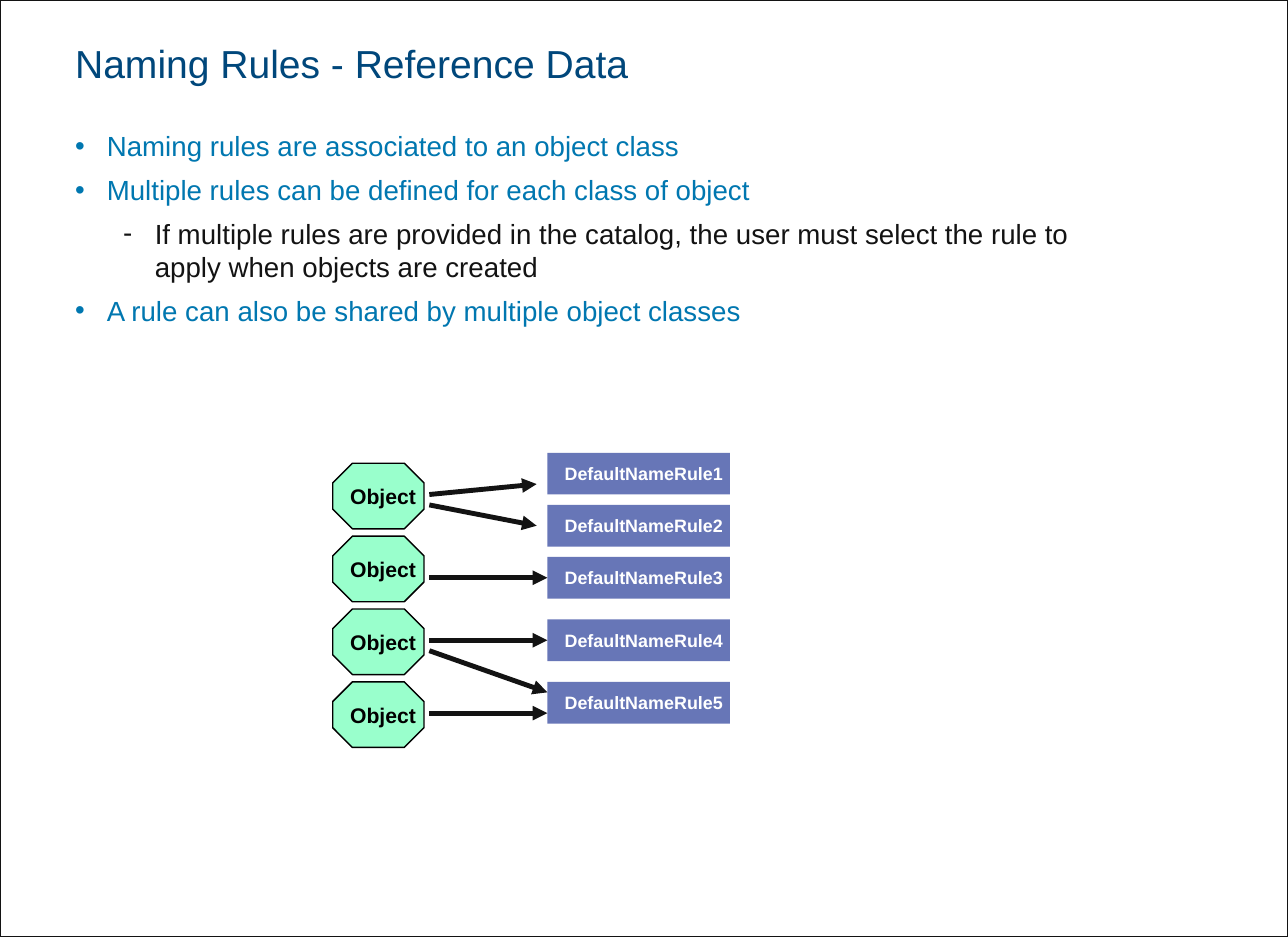
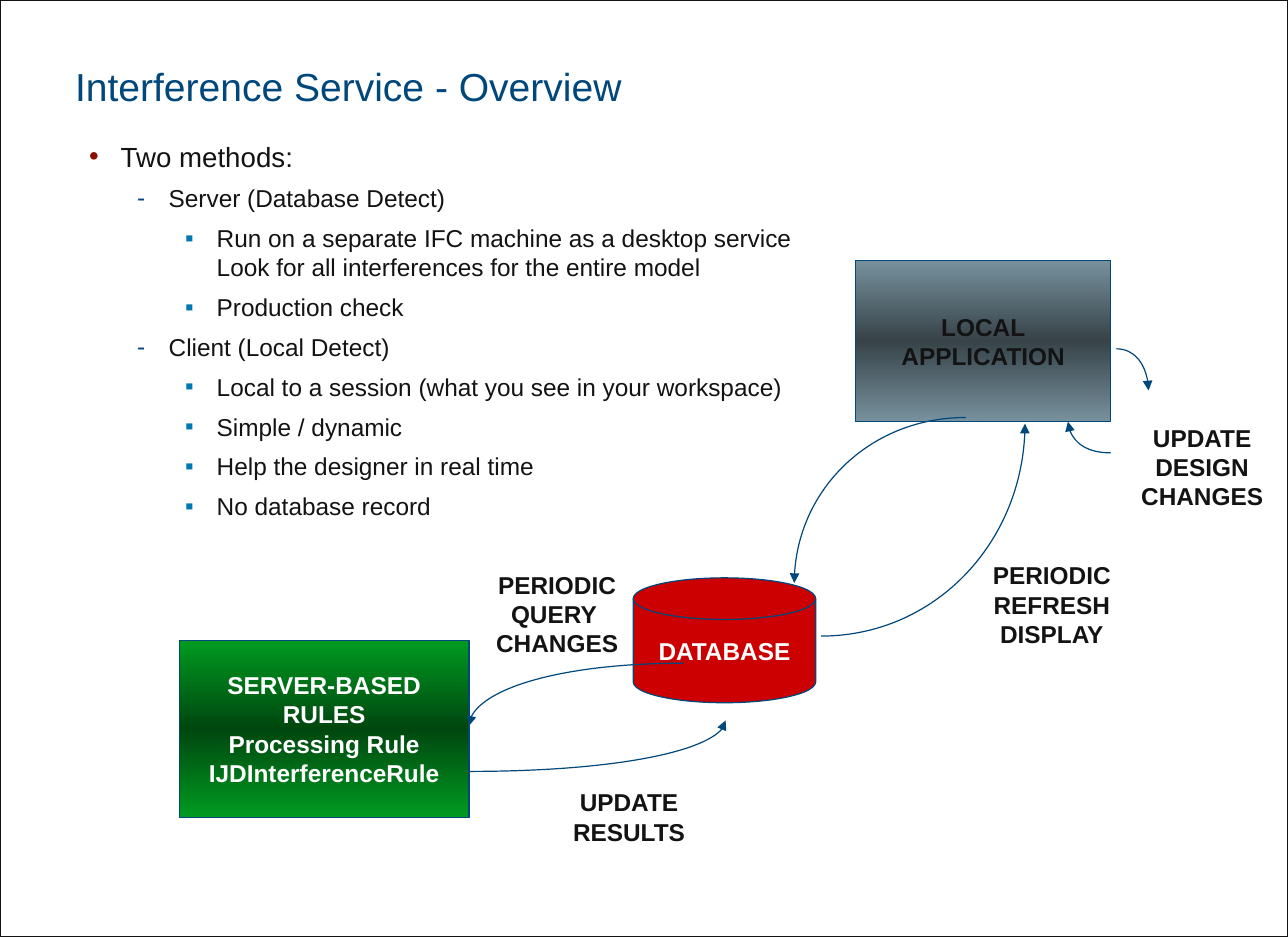
from dataclasses import dataclass

from lxml.etree import SubElement
from pptx import Presentation
from pptx.dml.color import RGBColor
from pptx.enum.shapes import MSO_CONNECTOR, MSO_SHAPE
from pptx.enum.text import MSO_ANCHOR, PP_ALIGN
from pptx.oxml.ns import qn
from pptx.util import Inches, Pt

WIDTH, HEIGHT = Inches(11), Inches(8)
COLUMN, ROW = WIDTH / 120, HEIGHT / 90
CENTRE, MIDDLE = PP_ALIGN.CENTER, MSO_ANCHOR.MIDDLE


@dataclass(frozen=True)
class Theme:
    """Colours, font and type sizes shared by the slides."""

    font: str = "Arial"
    navy: str = "00477B"
    blue: str = "0077B0"
    steel: str = "07467F"
    maroon: str = "8B0F04"
    ink: str = "131313"
    black: str = "000000"
    white: str = "FFFFFF"
    mint: str = "99FFCC"
    violet: str = "6776B7"
    red: str = "CC0000"
    green: tuple = ("009A21", "00470F", "009A21")
    slate: tuple = ("77919D", "374349", "77919D")
    title: int = 24
    body: int = 17
    detail: int = 15
    object: int = 13
    rule: int = 11


THEME = Theme()


@dataclass(frozen=True)
class Level:
    """Look of one outline level."""

    bullet: str
    bullet_color: str
    color: str
    size: int
    depth: int


def rgb(color):
    """Turn a hex string into a colour."""
    return RGBColor.from_string(color)


def grid(column, row, columns, rows):
    """Convert a grid area to left, top, width and height."""
    return round(column * COLUMN), round(row * ROW), round(columns * COLUMN), round(rows * ROW)


def format_runs(paragraph, size, color, bold=False):
    """Apply one font to all runs of a paragraph."""
    for run in paragraph.runs:
        run.font.name = THEME.font
        run.font.size = Pt(size)
        run.font.bold = bold
        run.font.color.rgb = rgb(color)


def write(shape, text, size, color, bold=True, align=CENTRE, anchor=MIDDLE, wrap=False, left=0):
    """Fill a shape with text, one paragraph a line."""
    frame = shape.text_frame
    frame.margin_left = Inches(left)
    frame.margin_right = frame.margin_top = frame.margin_bottom = 0
    frame.text = text
    frame.word_wrap = wrap
    frame.vertical_anchor = anchor
    for paragraph in frame.paragraphs:
        paragraph.alignment = align
        format_runs(paragraph, size, color, bold)


def add_box(slide, kind, area, fill, line=None, weight=0.75):
    """Draw a preset shape with a flat or three-stop fill."""
    shape = slide.shapes.add_shape(kind, *grid(*area))
    shape.shadow.inherit = False
    if isinstance(fill, tuple):
        fill_gradient(shape, fill)
    else:
        shape.fill.solid()
        shape.fill.fore_color.rgb = rgb(fill)
    if line:
        shape.line.color.rgb = rgb(line)
        shape.line.width = Pt(weight)
    else:
        shape.line.fill.background()
    return shape


def fill_gradient(shape, colors):
    """Spread the colours evenly from top to bottom."""
    shape.fill.gradient()
    shape.fill.gradient_angle = 90
    stops = shape._element.spPr.find(qn("a:gradFill")).find(qn("a:gsLst"))
    for stop in list(stops):
        stops.remove(stop)
    for index, color in enumerate(colors):
        stop = SubElement(stops, qn("a:gs"), pos=str(index * 100000 // (len(colors) - 1)))
        SubElement(stop, qn("a:srgbClr"), val=color)


def style_arrow(shape, color, weight):
    """Set the line of an arrow and its triangular head."""
    shape.line.color.rgb = rgb(color)
    shape.line.width = Pt(weight)
    SubElement(shape.line._get_or_add_ln(), qn("a:tailEnd"), type="triangle")


def add_arrow(slide, start, end):
    """Draw a thick straight arrow between two grid points."""
    left, top, width, height = grid(*start, end[0] - start[0], end[1] - start[1])
    arrow = slide.shapes.add_connector(
        MSO_CONNECTOR.STRAIGHT, left, top, left + width, top + height)
    style_arrow(arrow, THEME.ink, 3)
    SubElement(arrow._element.spPr, qn("a:effectLst"))


def add_curve(slide, start, end):
    """Draw a quarter ellipse that leaves level and arrives upright."""
    (x1, y1), (x2, y2) = start, end
    bend = 0.55
    points = [(x1 + bend * (x2 - x1), y1), (x2, y2 - bend * (y2 - y1)), end]
    builder = slide.shapes.build_freeform(
        round(x1 * COLUMN), round(y1 * ROW))
    builder.add_line_segments(
        [(round(x * COLUMN), round(y * ROW)) for x, y in points], close=False)
    curve = builder.convert_to_shape()
    curve.shadow.inherit = False
    curve.fill.background()
    segments = list(curve._element.iter(qn("a:lnTo")))
    bezier = SubElement(segments[0].getparent(), qn("a:cubicBezTo"))
    for segment in segments:
        bezier.append(segment[0])
        segment.getparent().remove(segment)
    style_arrow(curve, THEME.navy, 0.75)


def add_label(slide, area, text):
    """Place a bold centred caption."""
    write(slide.shapes.add_textbox(*grid(*area)), text, THEME.detail, THEME.ink)


def add_outline(slide, area, items):
    """Place a bulleted list of level and text pairs."""
    frame = slide.shapes.add_textbox(*grid(*area)).text_frame
    frame.margin_left = frame.margin_right = frame.margin_top = frame.margin_bottom = 0
    frame.text = "\n".join(text for _, text in items)
    frame.word_wrap = True
    for paragraph, (level, _) in zip(frame.paragraphs, items):
        paragraph.space_after = Pt(6.5)
        properties = paragraph._p.get_or_add_pPr()
        properties.set("marL", str(Inches(0.27 + 0.41 * level.depth)))
        properties.set("indent", str(-Inches(0.27)))
        bullet_color = SubElement(properties, qn("a:buClr"))
        SubElement(bullet_color, qn("a:srgbClr"), val=level.bullet_color)
        SubElement(properties, qn("a:buFont"), typeface=THEME.font)
        SubElement(properties, qn("a:buChar"), char=level.bullet)
        format_runs(paragraph, level.size, level.color)


def add_titled_slide(presentation, title, anchor):
    """Add a framed blank slide with a title."""
    slide = presentation.slides.add_slide(presentation.slide_layouts[6])
    add_box(slide, MSO_SHAPE.RECTANGLE, (0, 0, 120, 90), THEME.white, THEME.ink)
    write(slide.shapes.add_textbox(*grid(7, 1.6, 72.8, 8.9)), title, THEME.title, THEME.navy,
          bold=False, align=PP_ALIGN.LEFT, anchor=anchor, wrap=True)
    return slide


def add_rule_diagram(slide):
    """Map the objects to their naming rules."""
    left, top = 31, 43.5
    for row in range(1, 23, 7):
        octagon = add_box(slide, MSO_SHAPE.OCTAGON, (left, top + row, 8.5, 6.3),
                          THEME.mint, THEME.black, 0.88)
        octagon.adjustments[0] = 0.3
        write(octagon, "Object", THEME.object, THEME.black, left=0.08)
    for number, row in enumerate((0, 5, 10, 16, 22), 1):
        rule = add_box(slide, MSO_SHAPE.RECTANGLE, (left + 20, top + row, 17, 4), THEME.violet)
        write(rule, f"DefaultNameRule{number}", THEME.rule, THEME.white, left=0.09)
    for start, column, end in ((4, 19, 3), (5, 19, 7), (12, 20, 12),
                               (18, 20, 18), (19, 20, 23), (25, 20, 25)):
        add_arrow(slide, (left + 9, top + start), (left + column, top + end))


def add_naming_slide(presentation):
    """Build the naming rules slide."""
    point = Level("•", THEME.blue, THEME.blue, THEME.body, 0)
    note = Level("-", THEME.ink, THEME.ink, THEME.body, 1)
    slide = add_titled_slide(presentation, "Naming Rules - Reference Data", MIDDLE)
    add_outline(slide, (7, 12.4, 95, 55), [
        (point, "Naming rules are associated to an object class"),
        (point, "Multiple rules can be defined for each class of object"),
        (note, "If multiple rules are provided in the catalog, the user must select "
               "the rule to apply when objects are created"),
        (point, "A rule can also be shared by multiple object classes"),
    ])
    add_rule_diagram(slide)


def add_service_diagram(slide):
    """Show the server, database and application with their exchanges."""
    for kind, area, fill, color, text in (
        (MSO_SHAPE.RECTANGLE, (16.7, 61.5, 27, 17), THEME.green, THEME.white,
         "SERVER-BASED\nRULES\nProcessing Rule\nIJDInterferenceRule"),
        (MSO_SHAPE.FLOWCHART_MAGNETIC_DISK, (59, 55.5, 17, 12), THEME.red, THEME.white,
         "DATABASE"),
        (MSO_SHAPE.RECTANGLE, (79.7, 25, 23.8, 15.5), THEME.slate, THEME.ink,
         "LOCAL\nAPPLICATION"),
    ):
        write(add_box(slide, kind, area, fill, THEME.navy), text, THEME.detail, color)
    for start, end in (
        ((76.5, 61.1), (95.5, 40.7)),
        ((63.7, 63.7), (43.7, 69.7)),
        ((43.7, 74.1), (67.6, 69.2)),
        ((90, 40.1), (74, 56)),
        ((104, 33.5), (107, 37.5)),
        ((103.5, 43.5), (99.5, 40.5)),
    ):
        add_curve(slide, start, end)
    for area, text in (
        ((45, 54.1, 13.8, 9.7), "PERIODIC\nQUERY \nCHANGES"),
        ((52.1, 75, 13, 6.9), "UPDATE\nRESULTS"),
        ((105.1, 40, 13.8, 9.7), "UPDATE\nDESIGN\nCHANGES"),
        ((91.3, 53.2, 13.4, 9.7), "PERIODIC\nREFRESH\nDISPLAY"),
    ):
        add_label(slide, area, text)


def add_service_slide(presentation):
    """Build the interference service slide."""
    heading = Level("•", THEME.maroon, THEME.ink, THEME.body, 0)
    method = Level("-", THEME.steel, THEME.ink, THEME.detail, 1)
    trait = Level("▪", THEME.blue, THEME.ink, THEME.detail, 2)
    slide = add_titled_slide(presentation, "Interference Service - Overview", MSO_ANCHOR.BOTTOM)
    add_outline(slide, (8.3, 13.4, 67.6, 54.2), [
        (heading, "Two methods:"),
        (method, "Server (Database Detect)"),
        (trait, "Run on a separate IFC machine as a desktop service "
                "Look for all interferences for the entire model"),
        (trait, "Production check"),
        (method, "Client (Local Detect)"),
        (trait, "Local to a session (what you see in your workspace)"),
        (trait, "Simple / dynamic"),
        (trait, "Help the designer in real time"),
        (trait, "No database record"),
    ])
    add_service_diagram(slide)


def main():
    """Build and save the presentation."""
    presentation = Presentation()
    presentation.slide_width, presentation.slide_height = WIDTH, HEIGHT
    add_naming_slide(presentation)
    add_service_slide(presentation)
    presentation.save("out.pptx")


if __name__ == "__main__":
    main()
